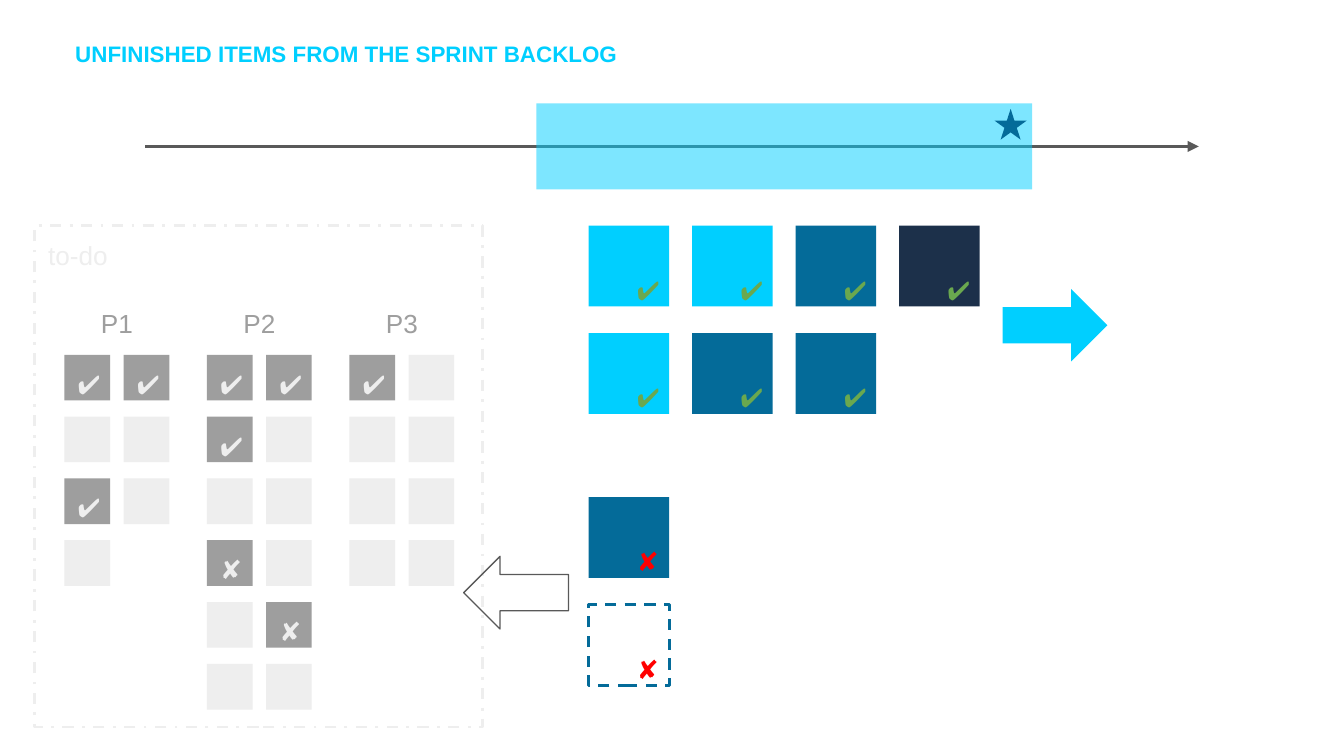
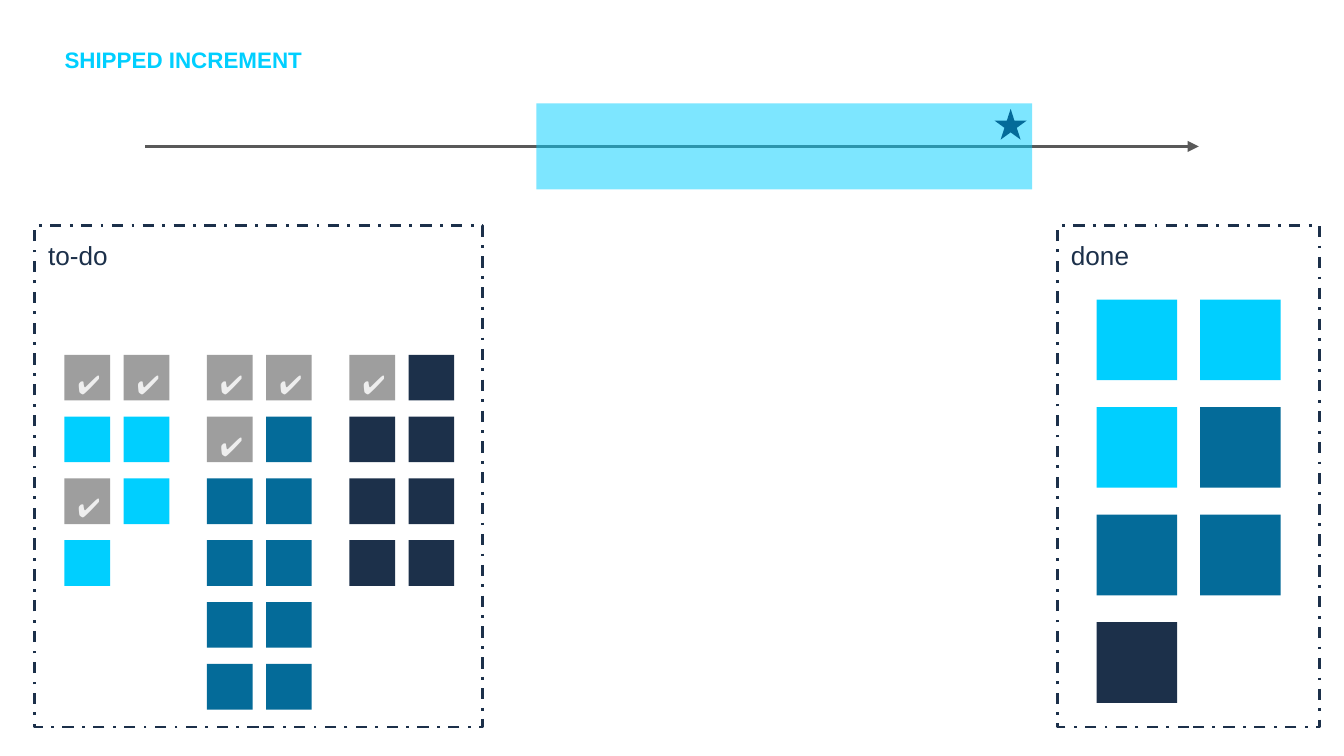
from pptx import Presentation
from pptx import util as u
from pptx.dml.color import RGBColor
from pptx.enum import dml, shapes, text
from pptx.oxml.ns import qn
from lxml import etree

WIDTH = 10
HEIGHT = WIDTH * 9 / 16
FONT = "Arial"
CYAN, BLUE, NAVY = "00CFFF", "046B99", "1C304A"
PALE, GREY, DARK_GREY = "EEEEEE", "9E9E9E", "595959"
GREEN, RED = "6AA84F", "FF0000"
CHECK, CROSS = "✔", "✘"
MARKS = {"v": CHECK, "x": CROSS}
CARD_COLOURS = {"c": CYAN, "b": BLUE, "n": NAVY}

INSET = 0.1
ITEM, ITEM_COLUMN, ITEM_ROW, PRIORITY_COLUMN = 0.34, 0.44, 0.46, 1.06
CARD, CARD_COLUMN, CARD_ROW = 0.6, 0.77, 0.8
PANEL_TOP, PANEL_HEIGHT = 1.68, 3.73
TODO_BOX = (0.26, PANEL_TOP, 3.33, PANEL_HEIGHT)
DONE_BOX = (7.87, PANEL_TOP, 1.95, PANEL_HEIGHT)
SPRINT_BOX = (3.99, 0.77, 3.69, 0.64)

# One list per priority: v is finished, x unfinished, a dot an open item.
BACKLOG = [
    ["vv", "..", "v.", "."],
    ["vv", "v.", "..", "x.", ".x", ".."],
    ["v.", "..", "..", ".."],
]


def colour(value):
    return RGBColor.from_string(value)


def inches(box):
    return [u.Inches(length) for length in box]


def add_shape(slide, kind, box, fill=None, line=None, weight=1.5, dash=None):
    shape = slide.shapes.add_shape(kind, *inches(box))
    shape.shadow.inherit = False
    if fill:
        shape.fill.solid()
        shape.fill.fore_color.rgb = colour(fill)
    else:
        shape.fill.background()
    if line:
        shape.line.color.rgb = colour(line)
        shape.line.width = u.Pt(weight)
        if dash:
            shape.line.dash_style = dash
    else:
        shape.line.fill.background()
    return shape


def add_rectangle(slide, box, **style):
    return add_shape(slide, shapes.MSO_SHAPE.RECTANGLE, box, **style)


def write(shape, words, ink, size=14, bold=False, align=text.PP_ALIGN.LEFT):
    frame = shape.text_frame
    frame.word_wrap = True
    frame.auto_size = text.MSO_AUTO_SIZE.NONE
    frame.vertical_anchor = text.MSO_ANCHOR.TOP
    frame.margin_left = frame.margin_right = u.Inches(INSET)
    frame.margin_top = frame.margin_bottom = u.Inches(INSET)
    frame.text = words
    paragraph = frame.paragraphs[0]
    paragraph.alignment = align
    paragraph.font.name = FONT
    paragraph.font.size = u.Pt(size)
    paragraph.font.bold = bold
    paragraph.font.color.rgb = colour(ink)
    return paragraph


def add_label(slide, box, words, ink, **style):
    write(slide.shapes.add_textbox(*inches(box)), words, ink, **style)


def add_title(slide, words, left, top):
    title = slide.shapes.title
    title.left, title.top, title.width, title.height = inches((left, top, 5.49, 0.73))
    paragraph = write(title, words, CYAN, size=12, bold=True)
    paragraph.line_spacing = 1.15
    paragraph.space_before = u.Pt(0)
    paragraph.space_after = u.Pt(16)


def add_timeline(slide, box):
    """Draw the time arrow with the sprint band and its goal star at the box."""
    left, top, width, height = box
    middle = top + height / 2
    axis = slide.shapes.add_connector(
        shapes.MSO_CONNECTOR.STRAIGHT,
        *inches((0.108 * WIDTH, middle, 0.892 * WIDTH, middle)))
    axis.line.color.rgb = colour(DARK_GREY)
    axis.line.width = u.Pt(1.5)
    properties = axis._element.spPr
    etree.SubElement(properties.find(qn("a:ln")), qn("a:tailEnd"), type="triangle")
    etree.SubElement(properties, qn("a:effectLst"))

    band = add_rectangle(slide, box, fill=CYAN)
    band_colour = band._element.spPr.find(".//" + qn("a:srgbClr"))
    etree.SubElement(band_colour, qn("a:alpha"), val="51000")
    add_shape(slide, shapes.MSO_SHAPE.STAR_5_POINT,
              (left + width - 0.28, top + 0.04, 0.24, 0.23), fill=BLUE)


def add_panel(slide, box, name, ink):
    left, top = box[:2]
    add_rectangle(slide, box, line=ink, dash=dml.MSO_LINE.DASH_DOT)
    add_label(slide, (left, top, 1.26, 0.34), name, ink)


def add_backlog(slide, box, open_colours, marks, headings=()):
    """Fill the panel with items; items whose letter is not in marks are open."""
    left, top = box[0] + 0.22, box[1] + 0.96
    for priority, rows in enumerate(BACKLOG):
        priority_left = left + priority * PRIORITY_COLUMN
        for row, letters in enumerate(rows):
            for column, letter in enumerate(letters):
                item_box = (priority_left + column * ITEM_COLUMN,
                            top + row * ITEM_ROW, ITEM, ITEM)
                closed = letter in marks
                add_rectangle(slide, item_box,
                              fill=GREY if closed else open_colours[priority])
                if closed:
                    add_label(slide, item_box, MARKS[letter], PALE)
    for priority, heading in enumerate(headings):
        add_label(slide, (left + priority * PRIORITY_COLUMN, top - 0.45,
                          ITEM + ITEM_COLUMN, 0.45),
                  heading, GREY, align=text.PP_ALIGN.CENTER)


def add_cards(slide, left, top, rows, mark=None, ink=None):
    """Lay out cards by colour letter; the letter o gives a dashed outline."""
    for row, letters in enumerate(rows):
        for column, letter in enumerate(letters):
            x, y = left + column * CARD_COLUMN, top + row * CARD_ROW
            if letter == "o":
                style = {"line": BLUE, "dash": dml.MSO_LINE.DASH}
            else:
                style = {"fill": CARD_COLOURS[letter]}
            add_rectangle(slide, (x, y, CARD, CARD), **style)
            if mark:
                corner = CARD - ITEM
                add_label(slide, (x + corner, y + corner, ITEM, ITEM), mark, ink)


def add_slide(presentation, title, title_left, title_top):
    slide = presentation.slides.add_slide(presentation.slide_layouts[5])
    add_title(slide, title, title_left, title_top)
    add_timeline(slide, SPRINT_BOX)
    return slide


def build_unfinished_items(presentation):
    slide = add_slide(presentation, "UNFINISHED ITEMS FROM THE SPRINT BACKLOG", 0.46, 0.17)
    add_panel(slide, TODO_BOX, "to-do", PALE)
    add_backlog(slide, TODO_BOX, [PALE] * 3, "vx", ["P1", "P2", "P3"])
    add_cards(slide, 4.38, PANEL_TOP, ["ccbn", "cbb"], CHECK, GREEN)
    add_cards(slide, 4.38, 3.7, ["b", "o"], CROSS, RED)
    add_shape(slide, shapes.MSO_SHAPE.RIGHT_ARROW, (7.46, 2.15, 0.78, 0.54), fill=CYAN)
    add_shape(slide, shapes.MSO_SHAPE.LEFT_ARROW, (3.45, 4.14, 0.78, 0.54),
              line=DARK_GREY, weight=0.75)


def build_shipped_increment(presentation):
    slide = add_slide(presentation, "SHIPPED INCREMENT", 0.38, 0.21)
    add_panel(slide, TODO_BOX, "to-do", NAVY)
    add_backlog(slide, TODO_BOX, [CYAN, BLUE, NAVY], "v")
    add_panel(slide, DONE_BOX, "done", NAVY)
    add_cards(slide, DONE_BOX[0] + 0.29, DONE_BOX[1] + 0.55, ["cc", "cb", "bb", "n"])


def main():
    presentation = Presentation()
    presentation.slide_width = u.Inches(WIDTH)
    presentation.slide_height = u.Inches(HEIGHT)
    build_unfinished_items(presentation)
    build_shipped_increment(presentation)
    presentation.save("out.pptx")


if __name__ == "__main__":
    main()
